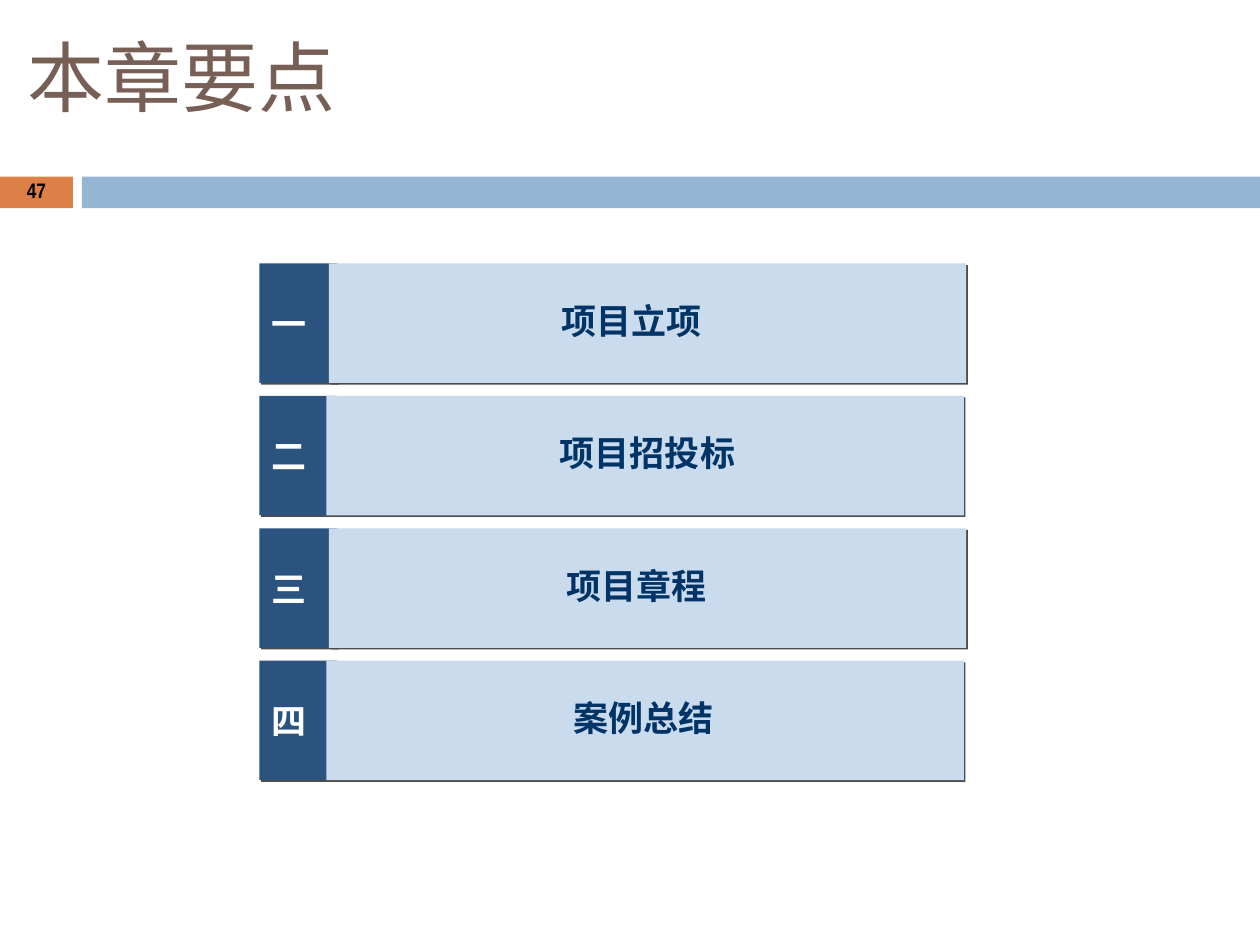
from dataclasses import dataclass

from lxml import etree
from pptx import Presentation
from pptx import util as u
from pptx.dml.color import RGBColor
from pptx.enum import shapes, text
from pptx.oxml import ns

CJK = "Noto Sans CJK SC"
LEFT, CENTER = text.PP_ALIGN.LEFT, text.PP_ALIGN.CENTER
TOP, MIDDLE = text.MSO_ANCHOR.TOP, text.MSO_ANCHOR.MIDDLE


@dataclass
class Chapter:
    numeral: str
    name: str
    bar_left: float
    name_left: float
    name_width: float
    extra_inset: float = 0  # shifts the centred name to the left


CHAPTERS = [
    Chapter("一", "项目立项", 6.63, 6.63, 12.19),
    Chapter("二", "项目招投标", 6.58, 7.04, 12.19, 0.16),
    Chapter("三", "项目章程", 6.63, 6.83, 12.01),
    Chapter("四", "案例总结", 6.58, 7.54, 11.2, 0.32),
]
FIRST_TOP, PITCH, ROW_HEIGHT = 5.31, 2.67, 2.41
BAND_TOP, BAND_HEIGHT = 3.56, 0.64


def color(code: str) -> RGBColor:
    return RGBColor.from_string(code)


def write(box, words: str, *, size: float, ink: str, font: str = CJK,
          bold: bool = False, align=LEFT, anchor=MIDDLE, wrap: bool = False,
          spacing: float = 1.0, extra_inset: float = 0) -> None:
    frame = box.text_frame
    frame.auto_size = text.MSO_AUTO_SIZE.NONE
    frame.word_wrap = wrap
    frame.vertical_anchor = anchor
    frame.margin_left = u.Cm(0.25)
    frame.margin_right = u.Cm(0.25 + extra_inset)
    frame.margin_top = frame.margin_bottom = u.Cm(0.13)
    para = frame.paragraphs[0]
    para.alignment = align
    para.line_spacing = spacing
    span = para.add_run()
    span.text = words
    span.font.size = u.Pt(size)
    span.font.bold = bold
    span.font.name = font
    span.font.color.rgb = color(ink)
    east_asian = etree.SubElement(span.font._element, ns.qn("a:ea"))
    east_asian.set("typeface", font)


def add_shadow(box) -> None:
    effects = box._element.spPr.find(ns.qn("a:effectLst"))
    shadow = etree.SubElement(effects, ns.qn("a:outerShdw"), blurRad="0",
                              dist=str(u.Pt(1.4)), dir=str(45 * 60000),
                              algn="ctr", rotWithShape="0")
    etree.SubElement(shadow, ns.qn("a:srgbClr"), val="4D4D4D")


def add_box(page, left: float, top: float, width: float, height: float, *,
            fill: str | None = None, rounded: bool = False, shadow: bool = False):
    kind = shapes.MSO_SHAPE.ROUNDED_RECTANGLE if rounded else shapes.MSO_SHAPE.RECTANGLE
    box = page.shapes.add_shape(kind, u.Cm(left), u.Cm(top), u.Cm(width), u.Cm(height))
    box.shadow.inherit = False
    box.line.fill.background()
    if fill:
        box.fill.solid()
        box.fill.fore_color.rgb = color(fill)
    else:
        box.fill.background()
    if shadow:
        add_shadow(box)
    return box


def main() -> None:
    deck = Presentation()
    deck.slide_width, deck.slide_height = u.Cm(25.4), u.Cm(19.05)
    page = deck.slides.add_slide(deck.slide_layouts[5])

    # Title
    title = page.shapes.title
    title.left, title.top = u.Cm(0.3), u.Cm(0.46)
    title.width, title.height = u.Cm(21.59), u.Cm(3.18)
    write(title, "本章要点", size=44, ink="775F55", anchor=TOP, wrap=True)

    # Band with the page number
    add_box(page, 0, BAND_TOP, 1.47, BAND_HEIGHT, fill="DD8047")
    add_box(page, 1.65, BAND_TOP, 23.75, BAND_HEIGHT, fill="94B6D2")
    number = page.shapes.add_textbox(0, u.Cm(3.53), u.Cm(1.47), u.Cm(0.69))
    write(number, "47", size=12, ink="000000", font="Arial Narrow", bold=True,
          align=CENTER, wrap=True, spacing=0.8)

    # Numeral blocks and bars
    for row, chapter in enumerate(CHAPTERS):
        top = FIRST_TOP + row * PITCH
        block = add_box(page, 5.23, top, 1.57, ROW_HEIGHT, fill="2A5380", shadow=True)
        write(block, chapter.numeral, size=20, ink="FFFFFF", bold=True)
        add_box(page, chapter.bar_left, top, 12.85, ROW_HEIGHT, fill="CADBEE", shadow=True)

    # Chapter names on the bars
    for row, chapter in enumerate(CHAPTERS):
        label = add_box(page, chapter.name_left, FIRST_TOP + row * PITCH + 0.28,
                        chapter.name_width, 1.73, rounded=True)
        write(label, chapter.name, size=20, ink="003366", bold=True, align=CENTER,
              extra_inset=chapter.extra_inset)

    deck.save("out.pptx")


if __name__ == "__main__":
    main()
